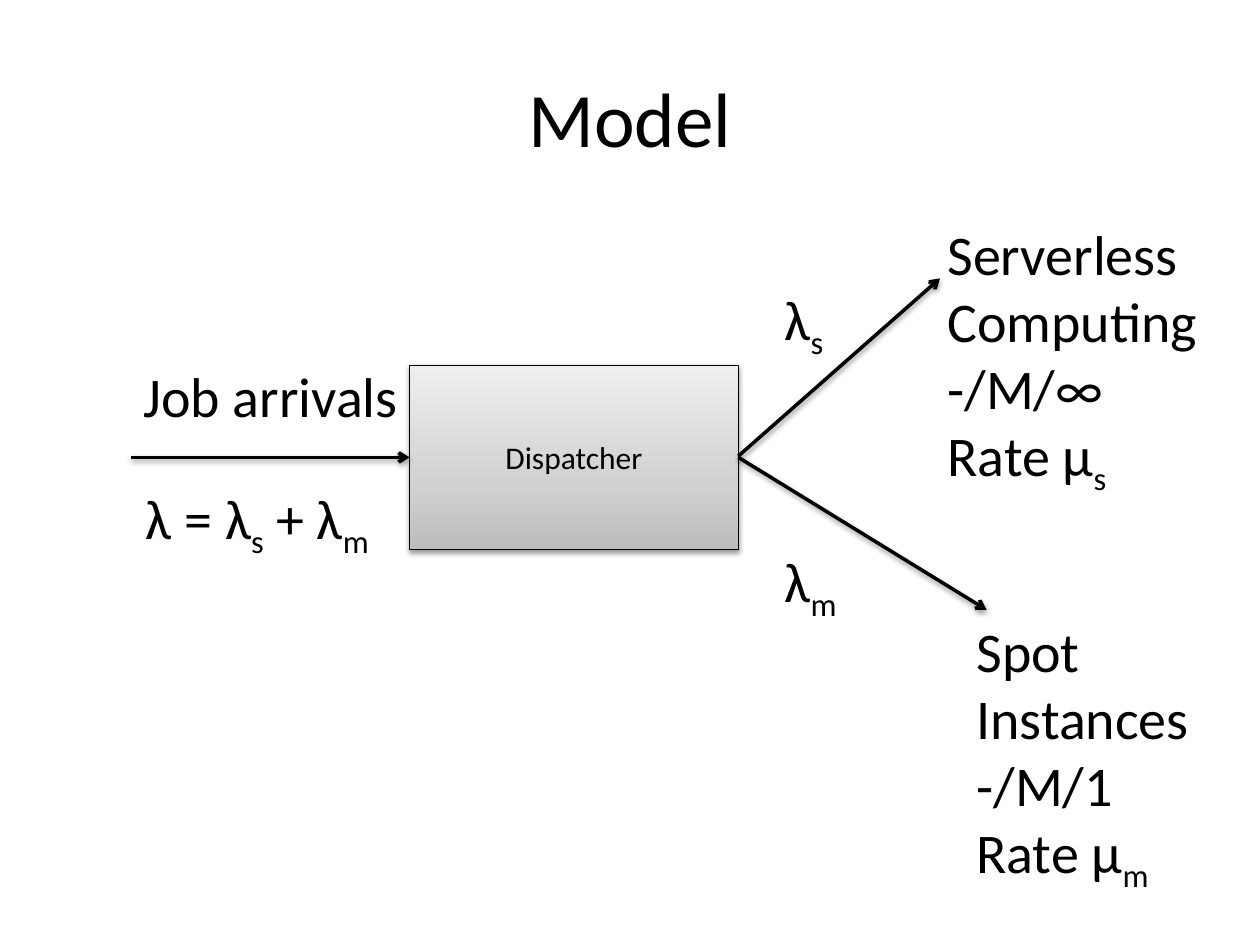
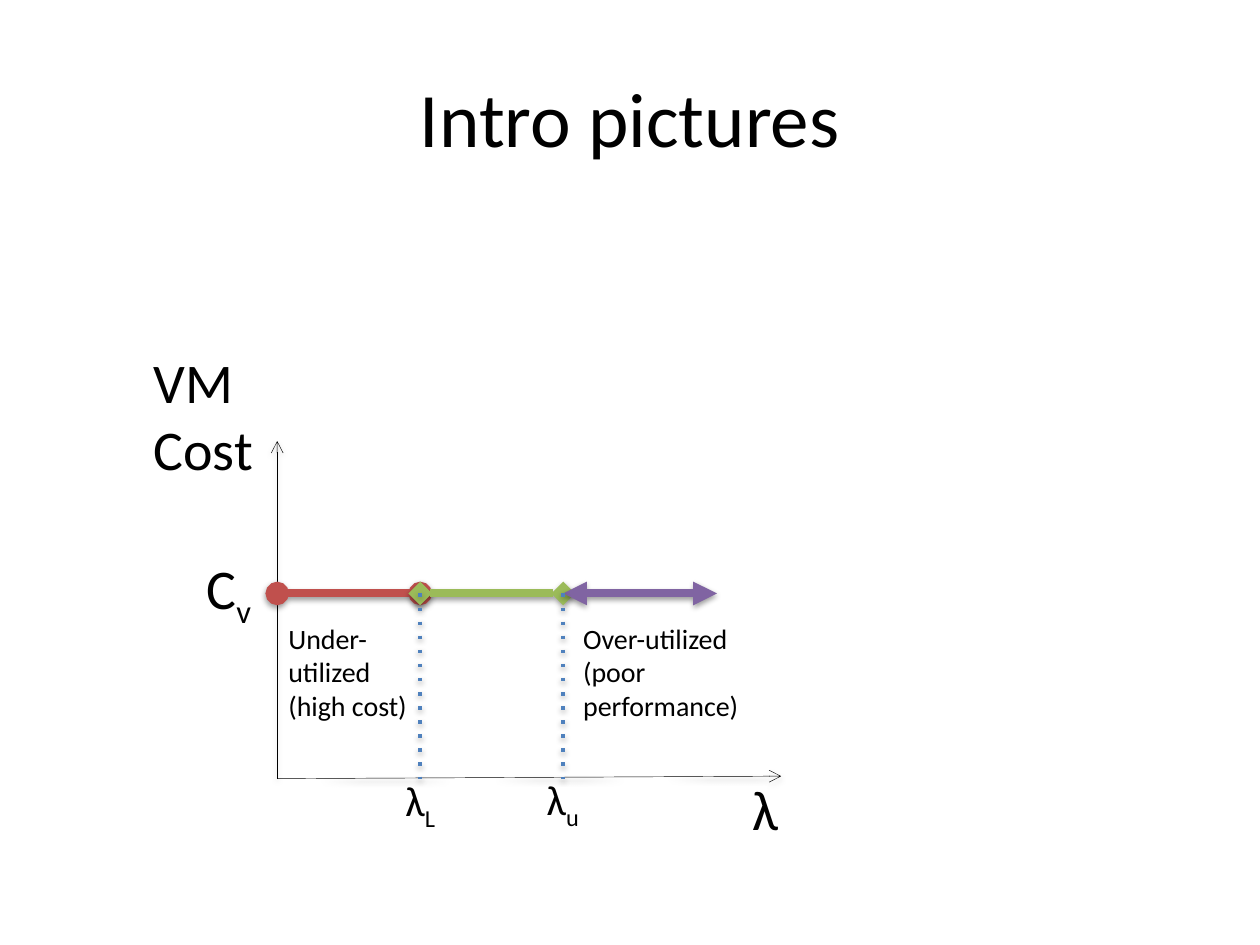
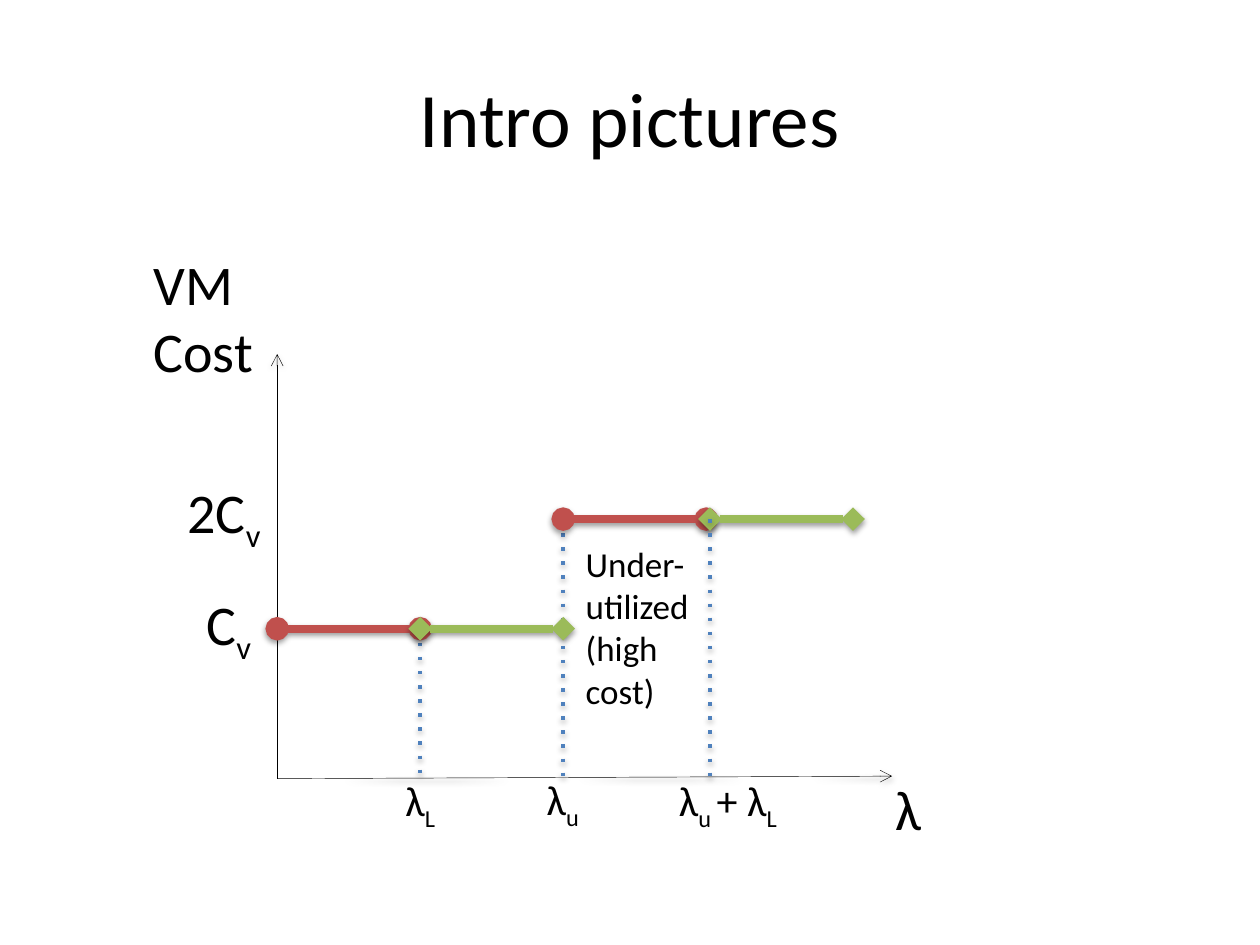
from dataclasses import dataclass
from pptx import Presentation
from pptx.dml.color import RGBColor
from pptx.enum.shapes import MSO_CONNECTOR, MSO_SHAPE
from pptx.enum.text import MSO_ANCHOR, MSO_AUTO_SIZE, PP_ALIGN
from pptx.oxml import parse_xml
from pptx.oxml.ns import nsdecls
from pptx.util import Inches, Pt

STRAIGHT, RECT = MSO_CONNECTOR.STRAIGHT, MSO_SHAPE.RECTANGLE
CENTER, LEFT = PP_ALIGN.CENTER, PP_ALIGN.LEFT
MIDDLE, TOP = MSO_ANCHOR.MIDDLE, MSO_ANCHOR.TOP
GROW, FIXED = MSO_AUTO_SIZE.SHAPE_TO_FIT_TEXT, MSO_AUTO_SIZE.NONE
COLUMNS, ROWS = 100, 75
ORIGIN_X, ORIGIN_Y, STEP = 22, 61.8, 11.35


@dataclass(frozen=True)
class Theme:
    font: str = "Calibri"
    ink: str = "000000"
    low: str = "C0504D"
    good: str = "9BBB59"
    over: str = "8064A2"
    guide: str = "4F81BD"
    gradient: tuple = ((0, "BDBDBD"), (35, "D1D1D1"), (100, "EEEEEE"))
    title: int = 44
    label: int = 32
    tick: int = 24
    note: int = 20
    body: int = 18
    small: int = 16
    hairline: float = 0.25
    border: float = 0.75
    arrow: float = 2
    band: float = 4.5


class Deck:
    """Draws diagrams on a grid of columns and rows in one theme."""

    def __init__(self, theme):
        self.t = theme
        self.prs = Presentation()
        self.prs.slide_width, self.prs.slide_height = Inches(10), Inches(7.5)
        self.s = None

    def x(self, columns):
        return round(self.prs.slide_width * columns / COLUMNS)

    def y(self, rows):
        return round(self.prs.slide_height * rows / ROWS)

    def box(self, x, y, w, h):
        return self.x(x), self.y(y), self.x(w), self.y(h)

    def slide(self, title):
        self.s = self.prs.slides.add_slide(self.prs.slide_layouts[6])
        self.text(title, 5, 3, 90, 12.5, self.t.title, wrap=True,
                  align=CENTER, anchor=MIDDLE, fit=FIXED)

    def set_text(self, tf, text, size, align):
        """Fill a frame; parts between bars are subscripts."""
        for i, line in enumerate(text.split("\n")):
            p = tf.paragraphs[0] if i == 0 else tf.add_paragraph()
            p.alignment = align
            p.font.name, p.font.size = self.t.font, Pt(size)
            p.font.color.rgb = RGBColor.from_string(self.t.ink)
            for j, part in enumerate(line.split("|")):
                if part:
                    r = p.add_run()
                    r.text = part
                    if j % 2:
                        r.font._element.set("baseline", "-25000")

    def text(self, text, x, y, w, h, size, wrap=False, align=LEFT, anchor=TOP, fit=GROW):
        tf = self.s.shapes.add_textbox(*self.box(x, y, w, h)).text_frame
        tf.word_wrap, tf.auto_size, tf.vertical_anchor = wrap, fit, anchor
        self.set_text(tf, text, size, align)

    def label(self, text, x, y, w, h=6.4):
        self.text(text, x, y, w, h, self.t.label)

    def tick(self, text, x, y, w):
        self.text(text, x, y, w, 5, self.t.tick)

    def shadow(self, shape, alpha=38, distance=20000):
        shape._element.spPr.append(parse_xml(
            f'<a:effectLst {nsdecls("a")}><a:outerShdw blurRad="40000" dist="{distance}" '
            f'dir="5400000" rotWithShape="0"><a:srgbClr val="{self.t.ink}">'
            f'<a:alpha val="{alpha * 1000}"/></a:srgbClr></a:outerShdw></a:effectLst>'))

    def node(self, text, x, y, w, h):
        sp = self.s.shapes.add_shape(RECT, *self.box(x, y, w, h))
        stops = "".join(f'<a:gs pos="{at * 1000}"><a:srgbClr val="{colour}"/></a:gs>'
                        for at, colour in self.t.gradient)
        sp._element.spPr.prstGeom.addnext(parse_xml(
            f'<a:gradFill {nsdecls("a")} rotWithShape="1"><a:gsLst>{stops}</a:gsLst>'
            '<a:lin ang="16200000" scaled="0"/></a:gradFill>'))
        sp.line.color.rgb = RGBColor.from_string(self.t.ink)
        sp.line.width = Pt(self.t.border)
        self.shadow(sp)
        sp.text_frame.vertical_anchor = MIDDLE
        self.set_text(sp.text_frame, text, self.t.body, CENTER)

    def line(self, x1, y1, x2, y2, colour, width, head=None, tail=None, dash=None):
        c = self.s.shapes.add_connector(
            STRAIGHT, self.x(x1), self.y(y1), self.x(x2), self.y(y2))
        c.line.color.rgb = RGBColor.from_string(colour)
        c.line.width = Pt(width)
        ln = c._element.spPr.get_or_add_ln()
        for tag, key, kind in (("prstDash", "val", dash), ("headEnd", "type", head),
                               ("tailEnd", "type", tail)):
            if kind:
                ln.append(parse_xml(f'<a:{tag} {nsdecls("a")} {key}="{kind}"/>'))
        if width == self.t.hairline:
            self.shadow(c, 35, 23000)
        else:
            self.shadow(c)

    def arrow(self, x1, y1, x2, y2):
        self.line(x1, y1, x2, y2, self.t.ink, self.t.arrow, tail="arrow")

    def guide(self, x, y):
        self.line(x, y, x, ORIGIN_Y, self.t.guide, self.t.arrow, dash="dot")

    def band(self, x1, x2, y, colour, end):
        self.line(x1, y, x2, y, colour, self.t.band, end, end)

    def level(self, x, y, gap=0):
        """Draw an under-utilized band followed by a well-used one."""
        middle = x + STEP
        self.band(x, middle, y, self.t.low, "oval")
        self.band(middle + gap, middle + gap + STEP, y, self.t.good, "diamond")

    def cost_axes(self, right, top, lambda_x, cost_y):
        for x, y in ((right, ORIGIN_Y - 0.2), (ORIGIN_X, top)):
            self.line(ORIGIN_X, ORIGIN_Y, x, y, self.t.ink, self.t.hairline, tail="arrow")
        self.label("λ", lambda_x, 60.95, 4.2)
        self.label("VM\nCost", 11.2, cost_y, 10, 11.8)
        self.tick("λ|L", 31.2, 61, 4.7)
        self.tick("λ|u", 42.4, 60.9, 4.9)


theme = Theme()
deck = Deck(theme)
LOWER, UPPER = ORIGIN_X + STEP, ORIGIN_X + 2 * STEP

deck.slide("Model")
deck.node("Dispatcher", 32.5, 29, 26.1, 14.6)
deck.arrow(10.4, 36.3, 32.5, 36.3)
deck.arrow(58.6, 36.2, 74.6, 22.1)
deck.arrow(58.6, 36.3, 78.3, 48.4)
deck.label("Job arrivals", 10.4, 28.2, 22.5)
deck.label("λ = λ|s| + λ|m", 10.6, 37.9, 20.5)
deck.label("Serverless\nComputing\n-/M/∞\nRate μ|s", 74.2, 16.9, 22.1, 27.9)
deck.label("Spot\nInstances\n-/M/1\nRate μ|m", 76.5, 48.4, 19.2, 27.9)
deck.label("λ|s", 61.3, 22.1, 5.4)
deck.label("λ|m", 61.3, 42.9, 6.6)

deck.slide("Intro pictures")
deck.cost_axes(62, 35, 58.7, 27.1)
cost = 47.1
deck.level(ORIGIN_X, cost)
deck.band(UPPER, 56.9, cost, theme.over, "triangle")
deck.label("C|v", 15.4, 43.4, 5.8)
for x in (LOWER, UPPER):
    deck.guide(x, cost)
deck.text("Under-utilized\n(high cost)", 21.9, 48.8, 12.1, 9.1, theme.small, wrap=True)
deck.text("Over-utilized\n(poor performance)", 45.3, 48.8, 15, 9.1, theme.small, wrap=True)

deck.slide("Intro pictures")
deck.cost_axes(70.8, 28.1, 70.1, 19.3)
cost, double_cost, gap = 49.9, 41.2, 0.3
deck.label("2C|v", 13.9, 37.4, 8.1)
deck.label("C|v", 15.4, 46.3, 5.8)
deck.guide(LOWER, cost)
deck.guide(UPPER, double_cost)
deck.level(ORIGIN_X, cost)
deck.level(UPPER, double_cost, gap)
deck.guide(UPPER + STEP + gap, double_cost)
deck.tick("λ|u |+ λ|L", 52.9, 61, 10.3)
deck.text("Under-utilized\n(high cost)", 45.5, 42.6, 12.1, 14.5, theme.note, wrap=True)

deck.prs.save("out.pptx")
